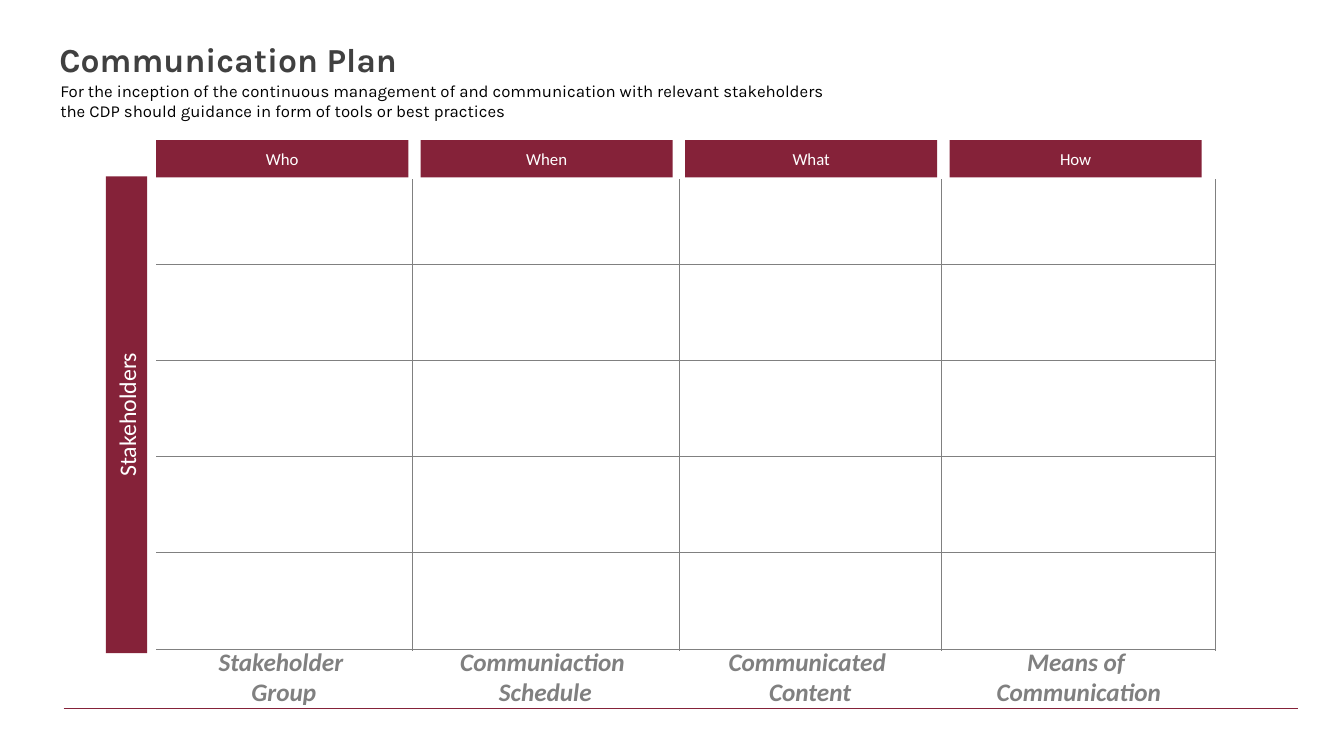
import pptx
import pptx.dml.color
import pptx.enum.shapes
import pptx.enum.text
import pptx.oxml.ns
import pptx.util
from lxml import etree

Inches = pptx.util.Inches
ALIGN = pptx.enum.text.PP_ALIGN
ANCHOR = pptx.enum.text.MSO_ANCHOR

COLORS = {
    "accent": "852239",
    "grid": "808080",
    "title": "404040",
    "body": "000000",
    "light": "FFFFFF",
}

# Header, caption, caption left, caption width
COLUMNS = [
    ("Who", "Stakeholder \nGroup", 1.54, 2.55),
    ("When", "Communiaction \nSchedule", 4.08, 2.66),
    ("What", "Communicated \nContent", 6.73, 2.61),
    ("How", "Means of \nCommunication", 9.34, 2.72),
]
GRID_LEFT, GRID_RIGHT = 1.55, 12.05
GRID_TOP, GRID_BOTTOM = 1.78, 6.46
COLUMN_EDGES = [4.09, 6.74, 9.34, 12.05]
ROW_COUNT, FIRST_ROW_LINE, ROW_STEP = 5, 2.62, 0.955
HEADER_STEP = 2.623


def rgb(name):
    """Return the named palette colour."""
    return pptx.dml.color.RGBColor.from_string(COLORS[name])


def write_text(frame, text, font="Calibri", size=12, color="body",
               bold=False, italic=False, align=ALIGN.LEFT, anchor=ANCHOR.TOP):
    """Fill a text frame with one paragraph, breaking lines at newlines."""
    frame.word_wrap = True
    frame.vertical_anchor = anchor
    para = frame.paragraphs[0]
    para.alignment = align
    for index, line in enumerate(text.split("\n")):
        if index:
            para.add_line_break()
        span = para.add_run()
        span.text = line
        span.font.name = font
        span.font.size = pptx.util.Pt(size)
        span.font.bold = bold
        span.font.italic = italic
        span.font.color.rgb = rgb(color)


def add_text(page, left, top, width, height, text, **text_format):
    """Add a text box."""
    box = page.shapes.add_textbox(
        Inches(left), Inches(top), Inches(width), Inches(height))
    write_text(box.text_frame, text, **text_format)


def add_bar(page, left, top, width, height, text, size, rotation=0):
    """Add a filled heading bar with centred text."""
    bar = page.shapes.add_shape(
        pptx.enum.shapes.MSO_SHAPE.RECTANGLE,
        Inches(left), Inches(top), Inches(width), Inches(height))
    bar.shadow.inherit = False
    bar.fill.solid()
    bar.fill.fore_color.rgb = rgb("accent")
    bar.line.fill.background()
    bar.rotation = rotation
    write_text(bar.text_frame, text, size=size, color="light",
               align=ALIGN.CENTER, anchor=ANCHOR.MIDDLE)


def add_line(page, x1, y1, x2, y2, color="grid"):
    """Add a thin straight line."""
    line = page.shapes.add_connector(
        pptx.enum.shapes.MSO_CONNECTOR.STRAIGHT,
        Inches(x1), Inches(y1), Inches(x2), Inches(y2))
    line.line.color.rgb = rgb(color)
    line.line.width = pptx.util.Pt(0.5)
    etree.SubElement(line._element.spPr, pptx.oxml.ns.qn("a:effectLst"))


def add_grid(page):
    """Draw the row and column lines of the plan."""
    for row in range(ROW_COUNT):
        y = FIRST_ROW_LINE + row * ROW_STEP
        add_line(page, GRID_LEFT, y, GRID_RIGHT, y)
    for x in COLUMN_EDGES:
        add_line(page, x, GRID_TOP, x, GRID_BOTTOM)


def main():
    """Build the communication plan slide."""
    deck = pptx.Presentation()
    deck.slide_width, deck.slide_height = Inches(13.33), Inches(7.5)
    page = deck.slides.add_slide(deck.slide_layouts[6])

    add_text(page, 0.49, 0.34, 9.65, 0.5, "Communication Plan",
             font="Karla", size=24, color="title", bold=True)
    add_line(page, 0.63, 7.03, 12.87, 7.03, color="accent")
    add_bar(page, -1.11, 3.91, 4.73, 0.41, "Stakeholders", 17, rotation=270)
    for index, (header, caption, left, width) in enumerate(COLUMNS):
        add_bar(page, GRID_LEFT + index * HEADER_STEP, 1.39, 2.5, 0.37,
                header, 12)
        add_text(page, left, 6.36, width, 0.71, caption, size=18,
                 color="grid", bold=True, italic=True, align=ALIGN.CENTER)
    add_grid(page)
    add_text(page, 0.5, 0.75, 9.03, 0.5,
             "For the inception of the continuous management of and "
             "communication with relevant stakeholders \n"
             "the CDP should guidance in form of tools or best practices",
             font="Karla")
    deck.save("out.pptx")


main()
